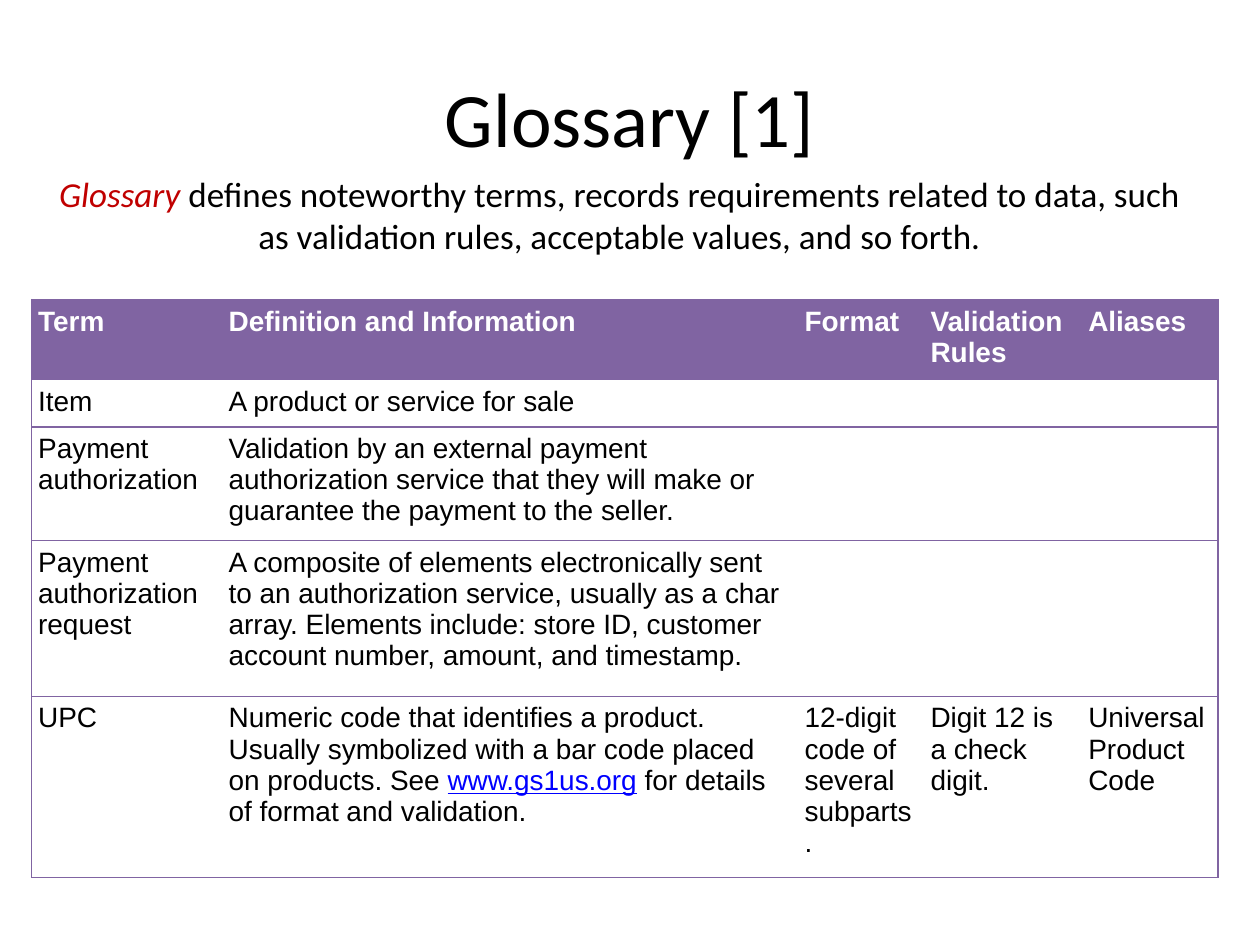
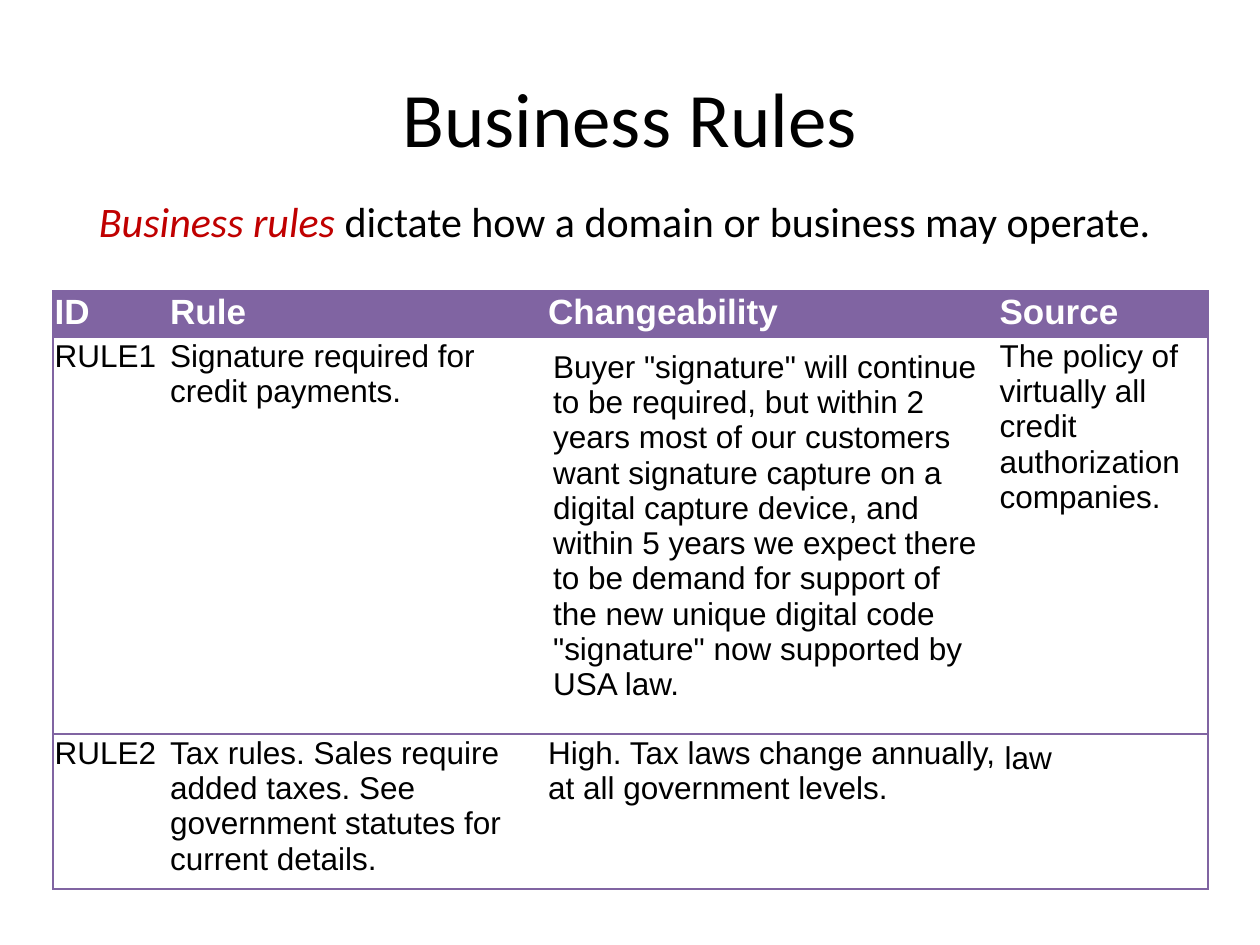
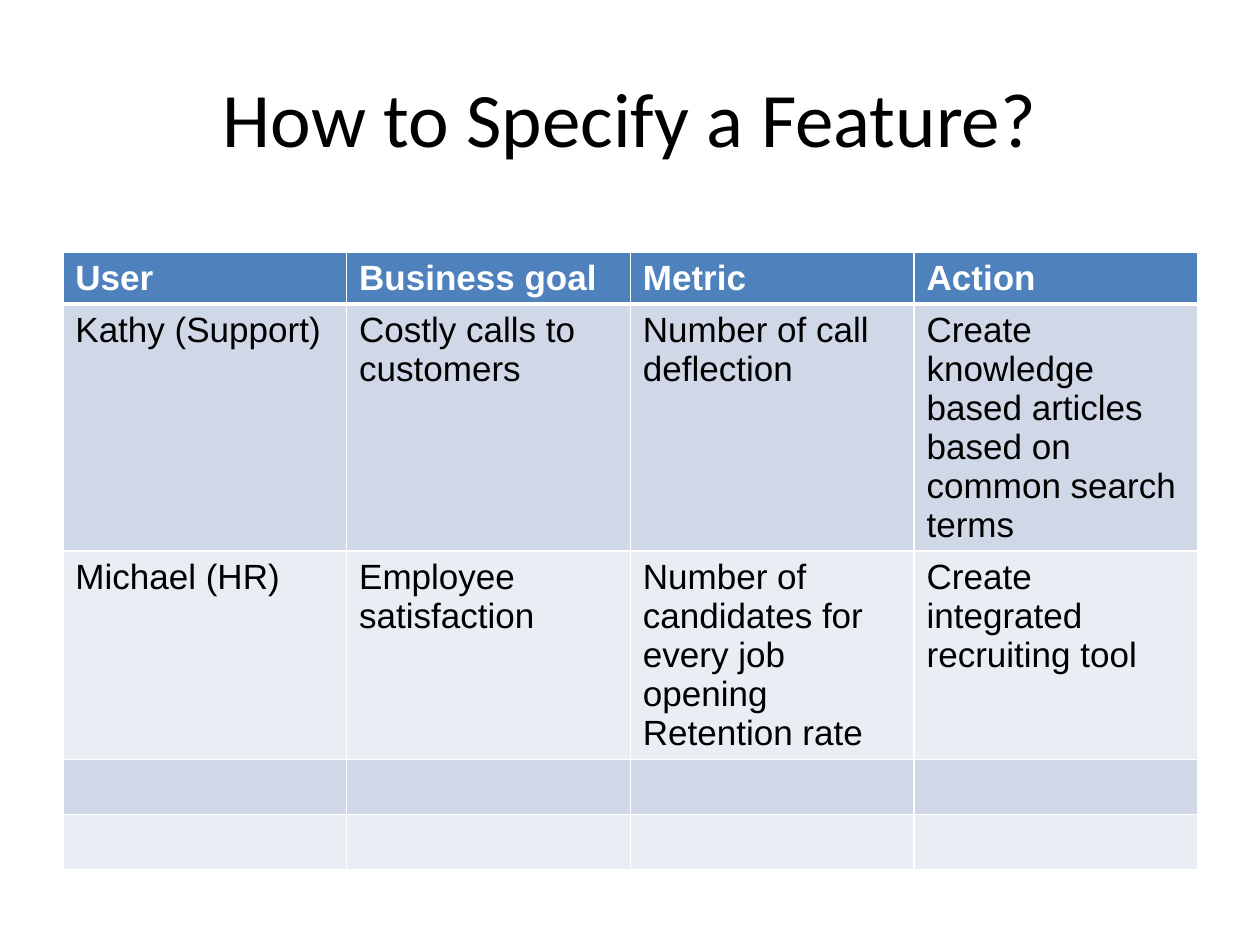
"""Build three requirements slides: a glossary, business rules and features."""
import lxml.etree
import pptx
import pptx.dml.color
import pptx.enum.text
import pptx.oxml.ns
import pptx.util

Cm = pptx.util.Cm
Pt = pptx.util.Pt
qn = pptx.oxml.ns.qn
CENTER = pptx.enum.text.PP_ALIGN.CENTER
MIDDLE = pptx.enum.text.MSO_ANCHOR.MIDDLE

COLORS = {
    "text": "000000",
    "white": "FFFFFF",
    "term": "C00000",
    "link": "0000FF",
    "purple": "8064A2",
    "blue": "4F81BD",
    "band": "D0D8E8",
    "light_band": "E9EDF4",
}
HEADING_FONT = "Calibri"
TABLE_FONT = "Arial"
PLAIN_TABLE_STYLE = "{2D5ABB26-0587-4C30-8999-92F81FD0307C}"
RULED = {"head": "purple", "bands": ("white", "white"), "line": "purple",
         "header_line": 1, "grid": False}
BANDED = {"head": "blue", "bands": ("band", "light_band"), "line": "white",
          "header_line": 3, "grid": True}


def rgb(name):
    """Return the named colour."""
    return pptx.dml.color.RGBColor.from_string(COLORS[name])


def write(frame, text, size=18, font=TABLE_FONT, color="text", bold=False,
          italic=False, underline=False, align=None):
    """Write a string, or (string, format) pieces, with newlines as paragraphs."""
    base = {"color": color, "italic": italic, "underline": underline}
    pieces = [(text, {})] if isinstance(text, str) else text
    paragraph = frame.paragraphs[0]
    paragraph.alignment = align
    for piece, changes in pieces:
        style = {**base, **changes}
        for index, line in enumerate(piece.split("\n")):
            if index:
                paragraph = frame.add_paragraph()
                paragraph.alignment = align
            run = paragraph.add_run()
            run.text = line
            run.font.name = font
            run.font.size = Pt(size)
            run.font.bold = bold
            run.font.italic = style["italic"]
            run.font.underline = style["underline"]
            run.font.color.rgb = rgb(style["color"])


class Deck:
    """Hold the presentation, its shared style and the current slide."""

    def __init__(self):
        """Start an empty 4:3 presentation."""
        self.show = pptx.Presentation()
        self.show.slide_width = Cm(25.4)
        self.show.slide_height = Cm(19.05)
        self.slide = None

    def titled_slide(self, title):
        """Add a slide with the shared title style."""
        self.slide = self.show.slides.add_slide(self.show.slide_layouts[5])
        heading = self.slide.shapes.title
        heading.left, heading.top = Cm(1.27), Cm(0.76)
        heading.width, heading.height = Cm(22.86), Cm(3.18)
        heading.text_frame.vertical_anchor = MIDDLE
        write(heading.text_frame, title, size=44, font=HEADING_FONT, align=CENTER)

    def definition(self, term, meaning, left, top, width, height, size):
        """Add a centred sentence that opens with a highlighted term."""
        box = self.slide.shapes.add_textbox(Cm(left), Cm(top), Cm(width), Cm(height))
        box.text_frame.word_wrap = True
        write(box.text_frame, [(term, {"color": "term", "italic": True}), (meaning, {})],
              size=size, font=HEADING_FONT, align=CENTER)

    def table(self, rows, left, top, widths, heights, look, head_size, body_size,
              insets=(0.25, 0.13, 0.25, 0.13), special_insets=None):
        """Add a table with a header row, drawn in the given look."""
        frame = self.slide.shapes.add_table(
            len(rows), len(widths), Cm(left), Cm(top), Cm(sum(widths)), Cm(sum(heights)))
        table = frame.table
        table._tbl.tblPr.find(qn("a:tableStyleId")).text = PLAIN_TABLE_STYLE
        for column, width in zip(table.columns, widths):
            column.width = Cm(width)
        for row, height in zip(table.rows, heights):
            row.height = Cm(height)
        for r, entries in enumerate(rows):
            for c, entry in enumerate(entries):
                cell = table.cell(r, c)
                self.borders(cell, r, c, len(widths), look)
                cell.fill.solid()
                cell.fill.fore_color.rgb = rgb(look["bands"][(r - 1) % 2] if r else look["head"])
                margins = (special_insets or {}).get((r, c), insets)
                if not entry:
                    margins = (0, 0, 0, 0)
                (cell.margin_left, cell.margin_top,
                 cell.margin_right, cell.margin_bottom) = map(Cm, margins)
                if entry:
                    write(cell.text_frame, entry, size=body_size if r else head_size,
                          color="text" if r else "white", bold=r == 0)

    def borders(self, cell, r, c, column_count, look):
        """Draw the cell's edges, with inner verticals only in a grid look."""
        widths = {
            "L": 1 if look["grid"] or c == 0 else 0,
            "R": 1 if look["grid"] or c == column_count - 1 else 0,
            "T": look["header_line"] if r == 1 else 1,
            "B": look["header_line"] if r == 0 else 1,
        }
        properties = cell._tc.get_or_add_tcPr()
        for side, width in widths.items():
            if width:
                line = lxml.etree.SubElement(properties, qn("a:ln" + side), w=str(Pt(width)))
                fill = lxml.etree.SubElement(line, qn("a:solidFill"))
                lxml.etree.SubElement(fill, qn("a:srgbClr"), val=COLORS[look["line"]])


def glossary(deck):
    """Build the glossary slide."""
    deck.titled_slide("Glossary [1]")
    deck.definition(
        "Glossary",
        " defines noteworthy terms, records requirements related to data, such as "
        "validation rules, acceptable values, and so forth.",
        left=0.64, top=3.35, width=23.7, height=1.96, size=20)
    terms = [
        ("Term", "Definition and Information", "Format", "Validation Rules", "Aliases"),
        ("Item", "A product or service for sale", "", "", ""),
        ("Payment authorization",
         "Validation by an external payment authorization service that they will make or "
         "guarantee the payment to the seller.", "", "", ""),
        ("Payment authorization request",
         "A composite of elements electronically sent to an authorization service, usually "
         "as a char array. Elements include: store ID, customer account number, amount, "
         "and timestamp.", "", "", ""),
        ("UPC",
         [("Numeric code that identifies a product. Usually symbolized with a bar code "
           "placed on products. See ", {}),
          ("www.gs1us.org", {"color": "link", "underline": True}),
          (" for details of format and validation.", {})],
         "12-digit code of several subparts.", "Digit 12 is a check digit.",
         "Universal Product Code"),
    ]
    deck.table(terms, left=0.64, top=6.04, widths=(3.84, 11.61, 2.54, 3.18, 2.74),
               heights=(1.6, 0.95, 2.28, 3.14, 3.65), look=RULED,
               head_size=16, body_size=16, insets=(0.13,) * 4)


def business_rules(deck):
    """Build the business rules slide."""
    deck.titled_slide("Business Rules")
    deck.definition("Business rules", " dictate how a domain or business may operate.",
                    left=1.48, top=3.81, width=22.23, height=1.27, size=24)
    rules = [
        ("ID", "Rule", "Changeability", "Source"),
        ("RULE1", "Signature required for credit payments.",
         'Buyer "signature" will continue to be required, but within 2 years most of our '
         "customers want signature capture on a digital capture device, and within 5 years "
         "we expect there to be demand for support of the new unique digital code "
         '"signature" now supported by USA law.',
         "The policy of virtually all credit authorization companies."),
        ("RULE2",
         "Tax rules. Sales require added taxes. See government statutes for current details.",
         "High. Tax laws change annually, at all government levels.", "law"),
    ]
    deck.table(rules, left=1.07, top=5.87, widths=(2.33, 7.62, 9.1, 4.23),
               heights=(0.93, 8, 3.12), look=RULED, head_size=20, body_size=18,
               insets=(0.03,) * 4,
               special_insets={(1, 2): (0.13, 0.25, 0.13, 0.13), (2, 3): (0.13,) * 4})


def feature_specification(deck):
    """Build the feature specification slide."""
    deck.titled_slide("How to Specify a Feature?")
    features = [
        ("User", "Business goal", "Metric", "Action"),
        ("Kathy (Support)", "Costly calls to customers", "Number of call deflection",
         "Create knowledge based articles based on common search terms"),
        ("Michael (HR)", "Employee satisfaction",
         "Number of candidates for every job opening\nRetention rate",
         "Create integrated recruiting tool"),
        ("",) * 4,
        ("",) * 4,
    ]
    deck.table(features, left=1.27, top=5.08, widths=(5.72,) * 4,
               heights=(1.04, 4.98, 4.19, 1.11, 1.11), look=BANDED,
               head_size=20, body_size=20)


def main():
    """Build and save the presentation."""
    deck = Deck()
    glossary(deck)
    business_rules(deck)
    feature_specification(deck)
    deck.show.save("out.pptx")


if __name__ == "__main__":
    main()
